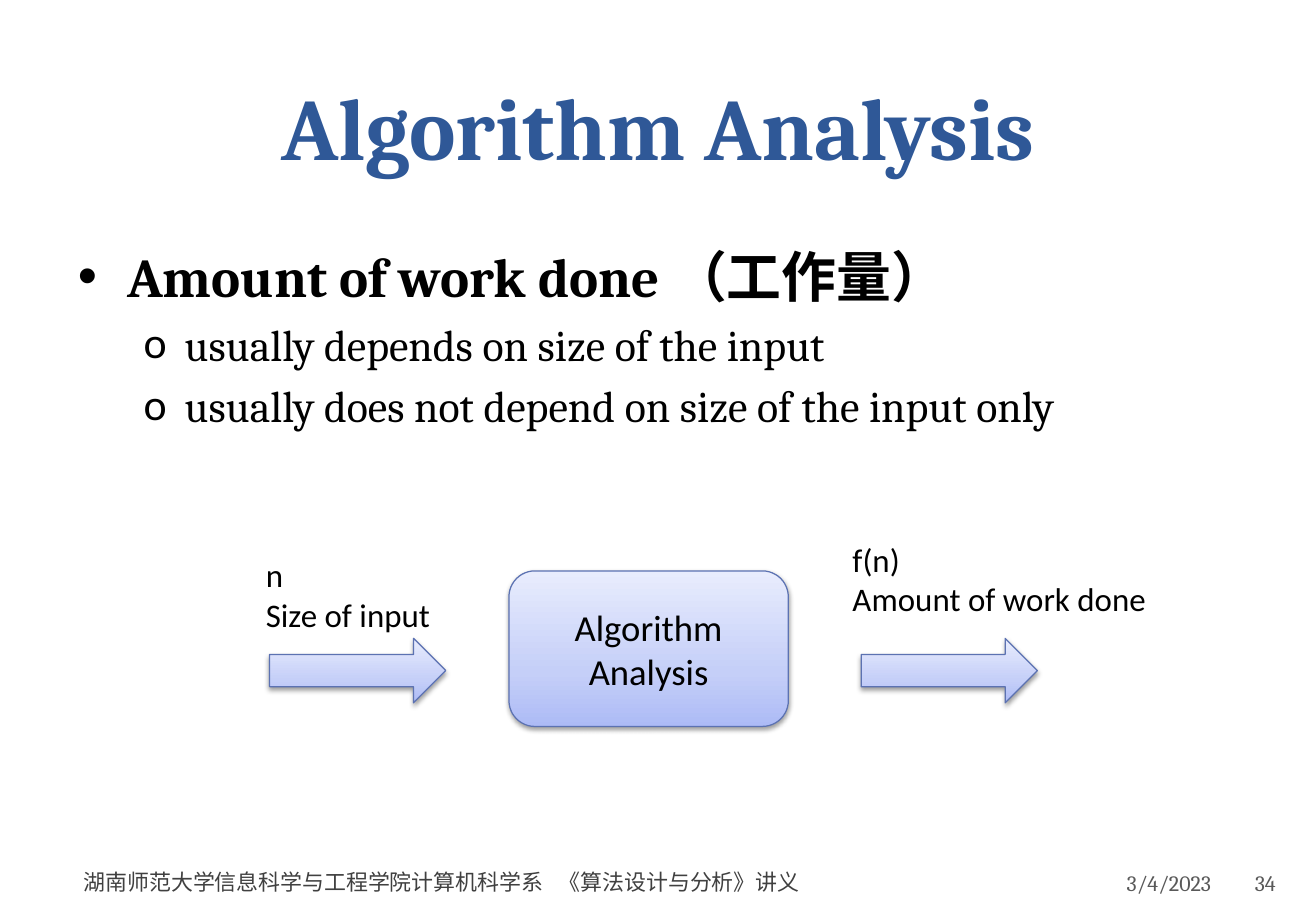
from lxml import etree
from pptx import Presentation
from pptx.dml.color import RGBColor
from pptx.enum.shapes import MSO_SHAPE
from pptx.enum.text import MSO_ANCHOR, PP_ALIGN
from pptx.oxml import parse_xml
from pptx.oxml.ns import qn
from pptx.util import Pt

LEFT, CENTER, RIGHT = PP_ALIGN.LEFT, PP_ALIGN.CENTER, PP_ALIGN.RIGHT
TOP, MIDDLE, BOTTOM = MSO_ANCHOR.TOP, MSO_ANCHOR.MIDDLE, MSO_ANCHOR.BOTTOM
ROUNDED, ARROW = MSO_SHAPE.ROUNDED_RECTANGLE, MSO_SHAPE.RIGHT_ARROW
DRAWING = 'xmlns:a="http://schemas.openxmlformats.org/drawingml/2006/main"'
GRADIENT = [(0, "ADBBF6"), (35, "C5CFF8"), (100, "E8ECFD")]


def color(value):
    return RGBColor.from_string(value)


def write(frame, lines, size, font, ink, align=LEFT, anchor=TOP, bold=False):
    frame.vertical_anchor = anchor
    for index, line in enumerate(lines):
        para = frame.paragraphs[0] if index == 0 else frame.add_paragraph()
        para.text = line
        para.alignment = align
        para.font.size = Pt(size)
        para.font.name = font
        para.font.bold = bold
        para.font.color.rgb = color(ink)


deck = Presentation()
deck.slide_width, deck.slide_height = Pt(780), Pt(540)
page = deck.slides.add_slide(deck.slide_layouts[5])
page.background.fill.solid()
page.background.fill.fore_color.rgb = color("FFFFFF")

# Title
title = page.shapes.title
title.left, title.top, title.width, title.height = Pt(39), Pt(26), Pt(702), Pt(83)
write(title.text_frame, ["Algorithm Analysis"], 52, "Cambria", "2F5897",
      CENTER, BOTTOM, True)
title.text_frame.paragraphs[0].line_spacing = Pt(62.8)

# Bulleted statements
body = page.shapes.add_textbox(Pt(39), Pt(140.4), Pt(702), Pt(356.4))
body.text_frame.word_wrap = True
statements = [
    ("Amount of work done （工作量）", 0, 32.5, "•", "Arial", 29.25, True),
    ("usually depends on size of the input", 1, 26, "o", "Calibri", 24.4, False),
    ("usually does not depend on size of the input only", 1, 26, "o", "Calibri",
     24.4, False),
]
for index, (text, level, size, mark, mark_font, hang, bold) in enumerate(statements):
    frame = body.text_frame
    para = frame.paragraphs[0] if index == 0 else frame.add_paragraph()
    para.text = text
    para.level = level
    if index:
        para.space_before = Pt(size * 0.2)
    properties = para._p.get_or_add_pPr()
    properties.set("marL", str(Pt(63.4 if level else hang)))
    properties.set("indent", str(-Pt(hang)))
    etree.SubElement(properties, qn("a:buFont"), typeface=mark_font)
    etree.SubElement(properties, qn("a:buChar"), char=mark)
    para.font.size = Pt(size)
    para.font.name = "Cambria"
    para.font.bold = bold
    para.font.color.rgb = color("000000")

# Footer: date, course, page number
footers = [
    ("3/4/2023", 543.6, 509, 177.8, 7.2, 3.6, RIGHT, "595959"),
    ("湖南师范大学信息科学与工程学院计算机科学系\t《算法设计与分析》讲义",
     46, 508.3, 442, 3.6, 7.2, LEFT, "404040"),
    ("34", 741.6, 509, 35.3, 2.2, 3.6, LEFT, "595959"),
]
for text, left, top, width, inset_left, inset_right, align, ink in footers:
    box = page.shapes.add_textbox(Pt(left), Pt(top), Pt(width), Pt(28.8))
    frame = box.text_frame
    frame.word_wrap = True
    frame.margin_left, frame.margin_right = Pt(inset_left), Pt(inset_right)
    if "\t" in text:
        tabs = etree.SubElement(frame.paragraphs[0]._p.get_or_add_pPr(), qn("a:tabLst"))
        etree.SubElement(tabs, qn("a:tab"), pos=str(Pt(281.6)), algn="l")
    write(frame, [text], 13, "Cambria", ink, align, MIDDLE)

# Process box with its input and output arrows
stops = "".join(f'<a:gs pos="{place * 1000}"><a:srgbClr val="{tone}"/></a:gs>'
                for place, tone in GRADIENT)
flow = [
    (ROUNDED, 301.7, 338.4, 165.6, 92.2, ["Algorithm", "Analysis"]),
    (ARROW, 159.8, 378.4, 104.4, 38.2, []),
    (ARROW, 510.5, 378.4, 104.4, 38.2, []),
]
for kind, left, top, width, height, lines in flow:
    shape = page.shapes.add_shape(kind, Pt(left), Pt(top), Pt(width), Pt(height))
    shape.line.color.rgb = color("5C72B2")
    shape.line.width = Pt(0.75)
    shape.shadow.inherit = False
    properties = shape._element.spPr
    properties.find(qn("a:ln")).addprevious(parse_xml(
        f'<a:gradFill {DRAWING} rotWithShape="1"><a:gsLst>{stops}</a:gsLst>'
        '<a:lin ang="16200000" scaled="0"/></a:gradFill>'))
    properties.find(qn("a:effectLst")).append(parse_xml(
        f'<a:outerShdw {DRAWING} blurRad="{Pt(3.1)}" dist="{Pt(1.6)}" dir="5400000" '
        'rotWithShape="0"><a:srgbClr val="000000"><a:alpha val="38000"/></a:srgbClr>'
        '</a:outerShdw>'))
    write(shape.text_frame, lines, 21.7, "Calibri", "000000", CENTER, MIDDLE)

# Arrow labels
labels = [
    (["n", "Size of input"], 150.5, 325.4, 113),
    (["f(n)", "Amount of work done"], 498.2, 316.1, 190),
]
for lines, left, top, width in labels:
    label = page.shapes.add_textbox(Pt(left), Pt(top), Pt(width), Pt(54.7))
    label.text_frame.word_wrap = False
    write(label.text_frame, lines, 19.5, "Calibri", "000000")

deck.save("out.pptx")
